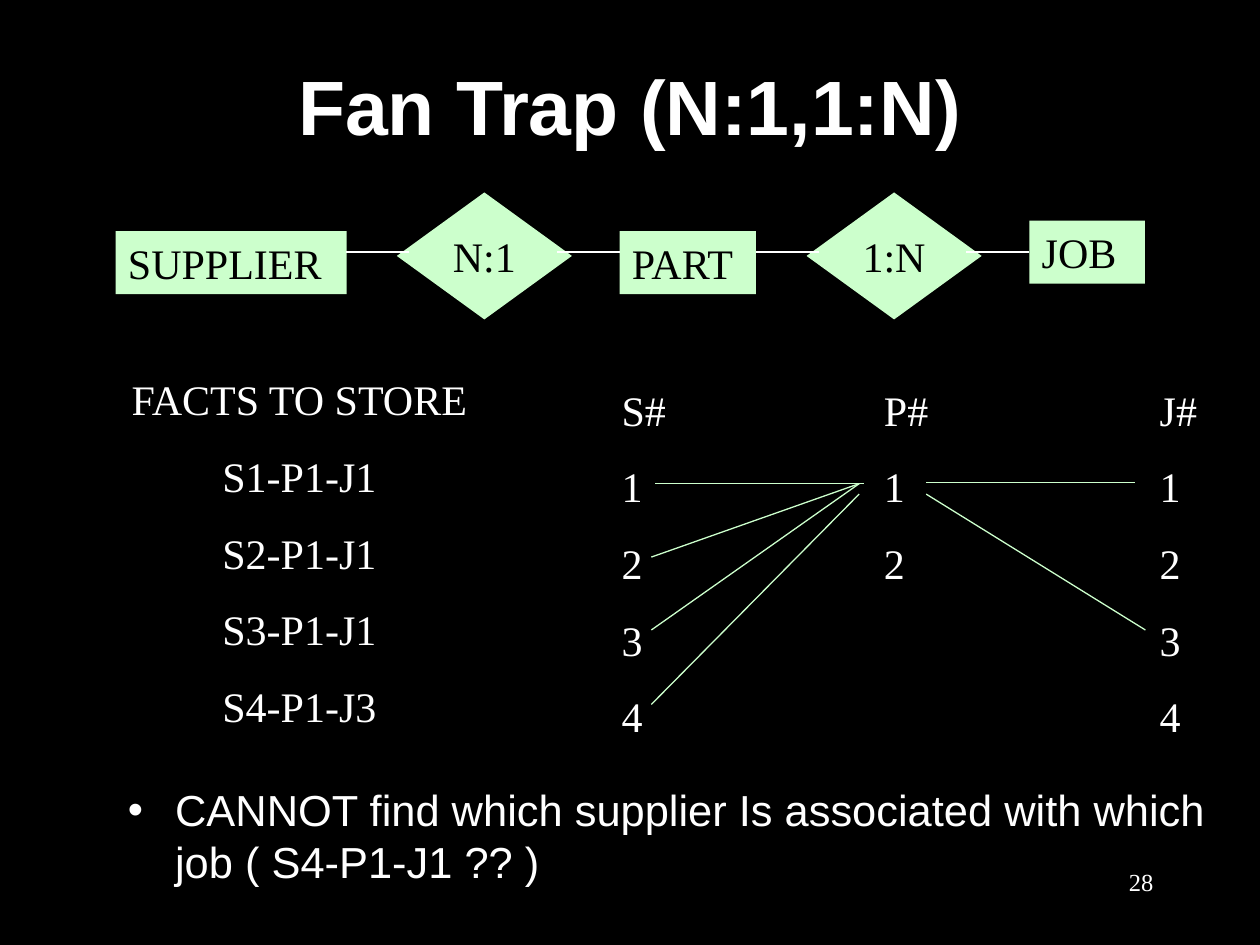
from dataclasses import dataclass

from lxml.etree import SubElement
from pptx import Presentation
from pptx.dml.color import RGBColor
from pptx.enum.shapes import MSO_CONNECTOR, MSO_SHAPE
from pptx.enum.text import MSO_ANCHOR, PP_ALIGN
from pptx.oxml.ns import qn
from pptx.util import Cm, Pt


@dataclass(frozen=True)
class Theme:
    back: RGBColor = RGBColor(0, 0, 0)
    light: RGBColor = RGBColor(0xFF, 0xFF, 0xFF)
    accent: RGBColor = RGBColor(0xCC, 0xFF, 0xCC)
    sans: str = "Arial"
    serif: str = "Times New Roman"
    title: float = 44
    bullet: float = 24.8
    body: float = 24
    number: float = 14
    line: float = 0.75


class Deck:
    def __init__(self, prs, theme):
        self.theme = theme
        self.s = prs.slides.add_slide(prs.slide_layouts[6])
        fill = self.s.background.fill
        fill.solid()
        fill.fore_color.rgb = theme.back

    def add_runs(self, sp, lines, size, font, color, align=PP_ALIGN.LEFT,
                 anchor=MSO_ANCHOR.TOP, before=0, bold=False, wrap=True):
        tf = sp.text_frame
        tf.word_wrap = wrap
        tf.vertical_anchor = anchor
        for i, line in enumerate(lines):
            p = tf.add_paragraph() if i else tf.paragraphs[0]
            p.alignment = align
            p.space_before = Pt(before)
            r = p.add_run()
            r.text = line
            r.font.size = Pt(size)
            r.font.name = font
            r.font.bold = bold
            r.font.color.rgb = color
        return tf

    def text(self, x, y, w, h, lines, size, font, **style):
        sp = self.s.shapes.add_textbox(Cm(x), Cm(y), Cm(w), Cm(h))
        return self.add_runs(sp, lines, size, font, self.theme.light, **style)

    def node(self, kind, x, y, w, h, label, **style):
        t = self.theme
        sp = self.s.shapes.add_shape(kind, Cm(x), Cm(y), Cm(w), Cm(h))
        sp.shadow.inherit = False
        sp.fill.solid()
        sp.fill.fore_color.rgb = t.accent
        sp.line.fill.background()
        self.add_runs(sp, [label], t.body, t.serif, t.back, **style)

    def entity(self, x, y, w, label):
        self.node(MSO_SHAPE.RECTANGLE, x, y, w, 1.27, label, before=15)

    def relation(self, x, label):
        self.node(MSO_SHAPE.DIAMOND, x, 3.88, 3.53, 2.56, label, wrap=False,
                  align=PP_ALIGN.CENTER, anchor=MSO_ANCHOR.MIDDLE)

    def line(self, x1, y1, x2, y2, color):
        c = self.s.shapes.add_connector(
            MSO_CONNECTOR.STRAIGHT, Cm(x1), Cm(y1), Cm(x2), Cm(y2))
        c.line.color.rgb = color
        c.line.width = Pt(self.theme.line)
        SubElement(c._element.spPr, qn("a:effectLst"))

    def bullet(self, x, y, w, h, line):
        t = self.theme
        tf = self.text(x, y, w, h, [line], t.bullet, t.sans, before=4)
        pPr = tf.paragraphs[0]._p.get_or_add_pPr()
        pPr.set("marL", str(Cm(0.95)))
        pPr.set("indent", str(-Cm(0.95)))
        SubElement(pPr, qn("a:buFont"), typeface=t.sans)
        SubElement(pPr, qn("a:buChar"), char="•")

    def columns(self, x, y, w, h, rows, stops):
        t = self.theme
        lines = ["\t".join(row) for row in rows]
        tf = self.text(x, y, w, h, lines, t.body, t.serif, before=15)
        for p in tf.paragraphs:
            tabs = SubElement(p._p.get_or_add_pPr(), qn("a:tabLst"))
            for stop in stops:
                SubElement(tabs, qn("a:tab"), pos=str(Cm(stop)), algn="l")


def main():
    prs = Presentation()
    prs.slide_width, prs.slide_height = Cm(25.4), Cm(19.05)
    t = Theme()
    d = Deck(prs, t)

    d.text(1.9, 0.85, 21.6, 2.54, ["Fan Trap (N:1,1:N)"], t.title, t.sans,
           align=PP_ALIGN.CENTER, anchor=MSO_ANCHOR.MIDDLE, before=6, bold=True)

    d.entity(2.33, 4.66, 4.66, "SUPPLIER")
    d.entity(20.75, 4.45, 2.33, "JOB")
    d.entity(12.49, 4.66, 2.75, "PART")
    d.relation(8, "N:1")
    d.relation(16.26, "1:N")
    for x in (6.98, 11.23, 15.24, 19.48):
        d.line(x, 5.08, x + 1.27, 5.08, t.light)

    d.bullet(2.33, 15.66, 23.07, 2.54,
             "CANNOT find which supplier Is associated with which job ( S4-P1-J1 ?? )")

    facts = ["FACTS TO STORE", "S1-P1-J1", "S2-P1-J1", "S3-P1-J1", "S4-P1-J3"]
    d.text(1.27, 7.41, 9.53, 7.47, facts, t.body, t.serif,
           align=PP_ALIGN.CENTER, before=15)

    rows = [("S#", "P#", "J#"), "111", "222", ("3", "", "3"), ("4", "", "4")]
    d.columns(12.28, 7.62, 13.12, 7.47, rows, (5.29, 10.85))
    links = [
        (13.21, 9.75, 17.42, 9.75),
        (18.67, 9.73, 22.89, 9.73),
        (17.32, 9.75, 13.13, 11.23),
        (18.67, 9.96, 23.09, 12.7),
        (13.13, 12.7, 17.32, 9.75),
        (13.13, 14.2, 17.32, 9.96),
    ]
    for link in links:
        d.line(*link, t.accent)

    d.text(18.2, 17.35, 5.3, 1.27, ["28"], t.number, t.serif,
           align=PP_ALIGN.RIGHT)
    prs.save("out.pptx")


if __name__ == "__main__":
    main()
